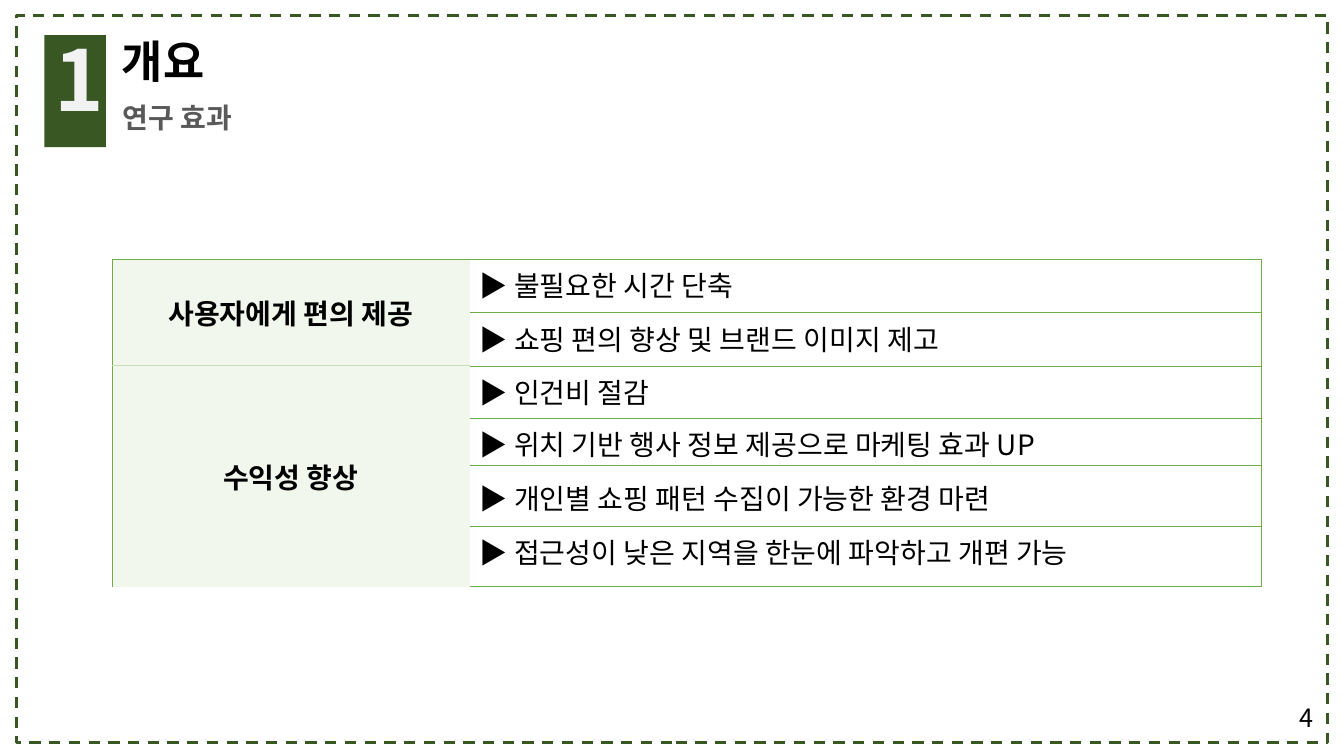
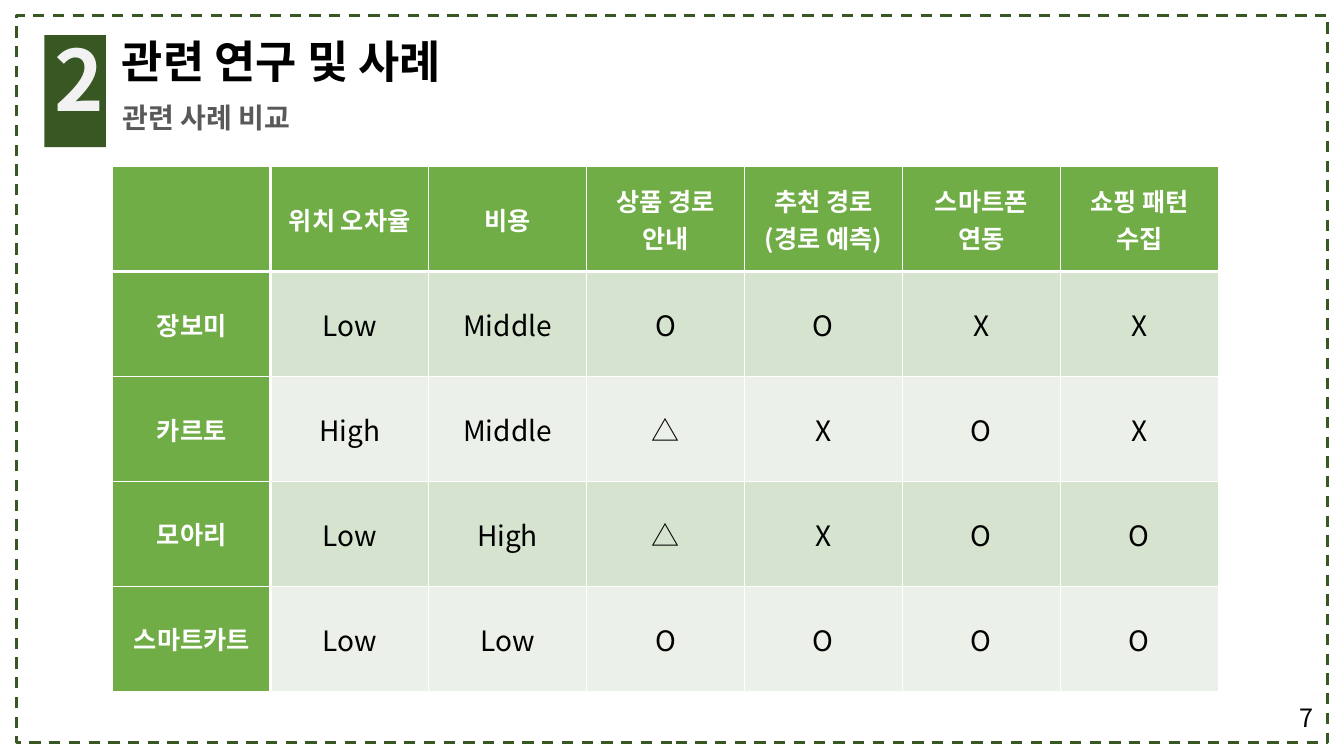
from lxml import etree
from pptx import Presentation
from pptx.dml.color import RGBColor
from pptx.enum.dml import MSO_LINE
from pptx.enum.shapes import MSO_SHAPE as SHAPE
from pptx.enum.text import MSO_ANCHOR as ANCHOR, PP_ALIGN as ALIGN
from pptx.oxml.ns import qn
from pptx.util import Pt

# Palette
DARK, GREEN, LIGHT, PALE = "385723", "70AD47", "C5E0B4", "F1F7EC"
BANDS = ("D5E3CF", "EBF1E9")
BLACK, WHITE, GRAY, OFF_WHITE = "000000", "FFFFFF", "595959", "F2F2F2"
FONT = "Noto Sans CJK KR"


def rgb(value):
    return RGBColor.from_string(value)


class Deck:
    """Holds the shared style and the current slide."""

    def __init__(self):
        self.prs = Presentation()
        self.prs.slide_width, self.prs.slide_height = Pt(960), Pt(540)

    def set_text(self, tf, text, size, color=BLACK, bold=False, align=ALIGN.LEFT,
                 spacing=None):
        tf.text = text
        for p in tf.paragraphs:
            p.alignment = align
            if spacing:
                p.line_spacing = spacing
            for r in p.runs:
                f = r.font
                f.name, f.size, f.bold = FONT, Pt(size), bold
                f.color.rgb = rgb(color)
                ea = etree.SubElement(r._r.get_or_add_rPr(), qn("a:ea"))
                ea.set("typeface", FONT)

    def rect(self, x, y, w, h, fill=None, line=None):
        sp = self.s.shapes.add_shape(SHAPE.RECTANGLE, Pt(x), Pt(y), Pt(w), Pt(h))
        sp.shadow.inherit = False
        if fill:
            sp.fill.solid()
            sp.fill.fore_color.rgb = rgb(fill)
        else:
            sp.fill.background()
        if line:
            sp.line.color.rgb = rgb(line)
            sp.line.width = Pt(2)
            sp.line.dash_style = MSO_LINE.DASH
        else:
            sp.line.fill.background()
        return sp

    def text(self, x, y, w, h, text, size, wrap=True, anchor=ANCHOR.TOP, **style):
        tf = self.s.shapes.add_textbox(Pt(x), Pt(y), Pt(w), Pt(h)).text_frame
        tf.word_wrap, tf.vertical_anchor = wrap, anchor
        self.set_text(tf, text, size, **style)

    def slide(self, number, title, subtitle, page):
        self.s = self.prs.slides.add_slide(self.prs.slide_layouts[6])
        # Dashed frame
        self.rect(11.5, 10.8, 936.7, 519.8, line=DARK)
        # Numbered heading
        heading = dict(bold=True, spacing=0.88)
        badge = self.rect(31.7, 25.2, 43.9, 80, fill=DARK).text_frame
        badge.vertical_anchor, badge.margin_bottom = ANCHOR.TOP, 0
        self.set_text(badge, number, 60, OFF_WHITE, align=ALIGN.CENTER, **heading)
        self.text(80, 25.2, 286, 46, title, 32, wrap=False, **heading)
        self.text(80.6, 71.3, 188, 32, subtitle, 20, color=GRAY, **heading)
        # Page number
        self.text(907.2, 484.6, 52.6, 55.4, page, 18, anchor=ANCHOR.MIDDLE,
                  align=ALIGN.CENTER)

    def table(self, x, y, widths, heights):
        shape = self.s.shapes.add_table(len(heights), len(widths), Pt(x), Pt(y),
                                        Pt(sum(widths)), Pt(sum(heights)))
        table = shape.table
        table.first_row = table.horz_banding = False
        for col, w in zip(table.columns, widths):
            col.width = Pt(w)
        for row, h in zip(table.rows, heights):
            row.height = Pt(h)
        return table

    def cell(self, cell, text, size, borders, fill=None, anchor=ANCHOR.MIDDLE, **style):
        """Borders map a side (L, R, T, B) to a colour and a width."""
        tc_pr = cell._tc.get_or_add_tcPr()
        for side in "LRTB":
            color, width = borders.get(side, (None, 0))
            ln = etree.SubElement(tc_pr, qn("a:ln" + side), w=str(Pt(width)))
            if color:
                solid = etree.SubElement(ln, qn("a:solidFill"))
                etree.SubElement(solid, qn("a:srgbClr"), val=color)
            else:
                etree.SubElement(ln, qn("a:noFill"))
        if fill:
            cell.fill.solid()
            cell.fill.fore_color.rgb = rgb(fill)
        else:
            cell.fill.background()
        cell.vertical_anchor = anchor
        if text:
            self.set_text(cell.text_frame, text, size, **style)


def effects_slide(deck):
    deck.slide("1", "개요", "연구 효과", "4")
    groups = [
        ("사용자에게 편의 제공", ["불필요한 시간 단축", "쇼핑 편의 향상 및 브랜드 이미지 제고"]),
        ("수익성 향상", ["인건비 절감", "위치 기반 행사 정보 제공으로 마케팅 효과 UP",
                     "개인별 쇼핑 패턴 수집이 가능한 환경 마련",
                     "접근성이 낮은 지역을 한눈에 파악하고 개편 가능"]),
    ]
    heights = [38.2, 38.2, 37.4, 33.8, 43.2, 43.2]
    table = deck.table(79.9, 185, [255.6, 565.2], heights)
    edge, divider = (GREEN, 0.5), (LIGHT, 1)
    top = 0
    for name, effects in groups:
        last = top + len(effects) - 1
        for i, effect in enumerate(effects, top):
            # Group column: only the outer lines of the merged cell show
            borders = {"L": edge}
            if i == top:
                borders["T"] = divider if top else edge
            if i == last:
                borders["B"] = edge if last == len(heights) - 1 else divider
            deck.cell(table.cell(i, 0), name if i == top else "", 20, borders, PALE,
                      bold=True, align=ALIGN.CENTER)
            # Effect column
            deck.cell(table.cell(i, 1), "▶ " + effect, 20,
                      dict.fromkeys("RTB", edge), anchor=ANCHOR.TOP)
        table.cell(top, 0).merge(table.cell(last, 0))
        top = last + 1
    table.cell(4, 1).margin_top = Pt(8)


def comparison_slide(deck):
    deck.slide("2", "관련 연구 및 사례", "관련 사례 비교", "7")
    rows = [
        ["", "위치 오차율", "비용", "상품 경로 안내", "추천 경로\n(경로 예측)",
         "스마트폰\n연동", "쇼핑 패턴 수집"],
        ["장보미", "Low", "Middle", "O", "O", "X", "X"],
        ["카르토", "High", "Middle", "△", "X", "O", "X"],
        ["모아리", "Low", "High", "△", "X", "O", "O"],
        ["스마트카트", "Low", "Low", "O", "O", "O", "O"],
    ]
    table = deck.table(80.6, 119, [112.8] * 7, [75] * 5)
    for i, row in enumerate(rows):
        for j, text in enumerate(row):
            borders = dict.fromkeys("LRTB", (WHITE, 1))
            # Heavier lines beside the header row and column
            if i < 2:
                borders["T" if i else "B"] = (WHITE, 3)
            if j < 2:
                borders["L" if j else "R"] = (WHITE, 2.25)
            if i == 0 or j == 0:
                size, fill, style = 18, GREEN, dict(color=WHITE, bold=True)
            else:
                size, fill, style = 20, BANDS[(i - 1) % 2], {}
            deck.cell(table.cell(i, j), text, size, borders, fill,
                      align=ALIGN.CENTER, **style)


def main():
    deck = Deck()
    effects_slide(deck)
    comparison_slide(deck)
    deck.prs.save("out.pptx")


if __name__ == "__main__":
    main()
